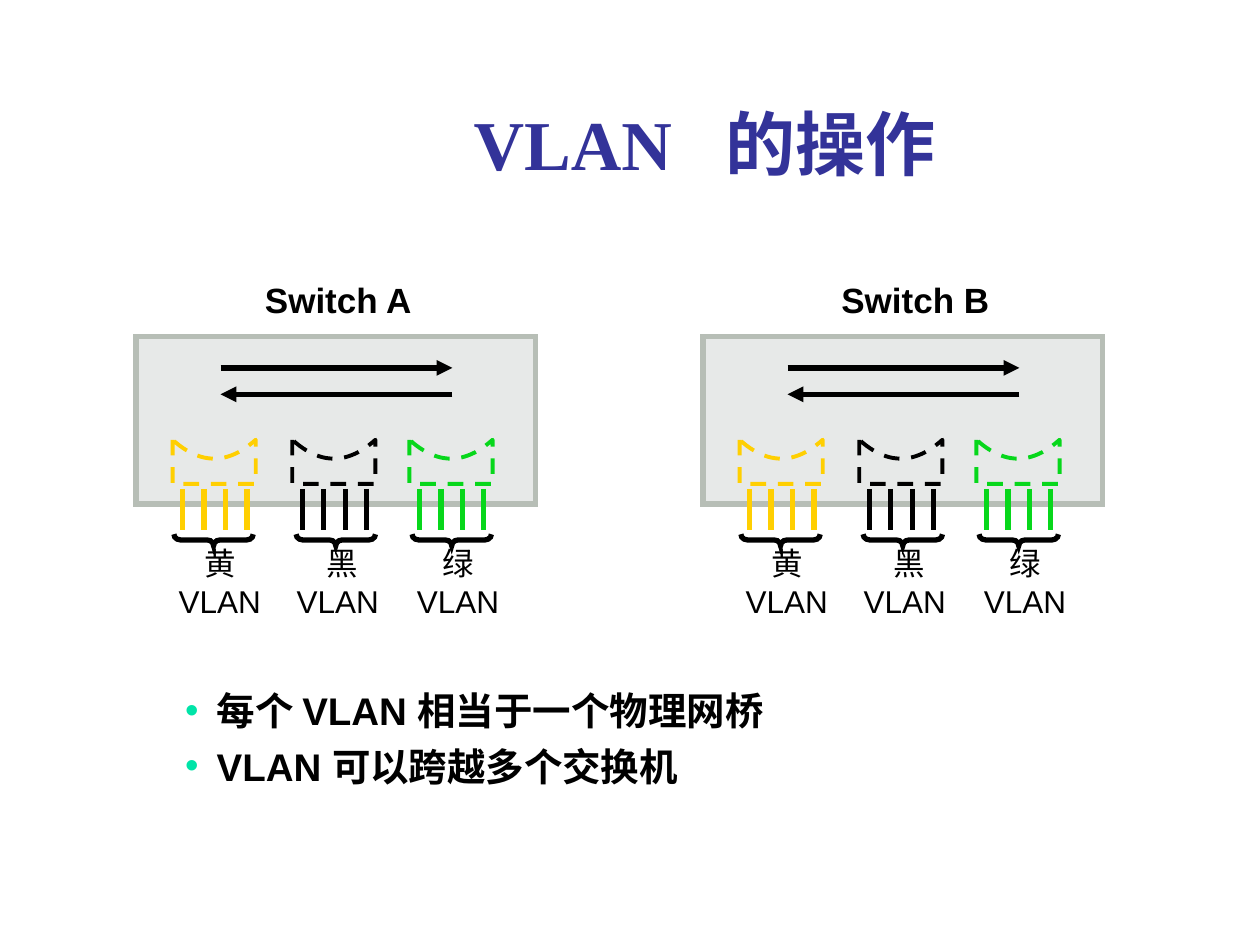
from lxml.etree import SubElement
from pptx import Presentation
from pptx.dml.color import RGBColor
from pptx.enum.dml import MSO_LINE
from pptx.enum.shapes import MSO_CONNECTOR, MSO_SHAPE
from pptx.enum.text import MSO_ANCHOR, MSO_AUTO_SIZE, PP_ALIGN
from pptx.oxml.ns import qn
from pptx.util import Inches, Pt

BLACK = RGBColor(0x00, 0x00, 0x00)
YELLOW = RGBColor(0xFF, 0xCF, 0x01)
GREEN = RGBColor(0x07, 0xD7, 0x1B)
NAVY = RGBColor(0x33, 0x33, 0x99)
PANEL = RGBColor(0xE7, 0xE9, 0xE8)
PANEL_EDGE = RGBColor(0xB7, 0xBE, 0xB6)
BULLET = RGBColor(0x00, 0xE4, 0xA8)

TITLE = "VLAN\t的操作"
BULLETS = ["每个 VLAN 相当于一个物理网桥", "VLAN 可以跨越多个交换机"]
SWITCHES = [
    {"name": "Switch A", "left": 1.08, "label": 2.0},
    {"name": "Switch B", "left": 5.58, "label": 6.58},
]
VLANS = [
    {"lines": ["黄", "VLAN"], "color": YELLOW, "bridge": 0.29, "brace": 0.3, "label": 0.24},
    {"lines": ["黑", "VLAN "], "color": BLACK, "bridge": 1.24, "brace": 1.27, "label": 1.21},
    {"lines": ["绿", "VLAN"], "color": GREEN, "bridge": 2.17, "brace": 2.19, "label": 2.13},
]
PORT_COUNT, PORT_GAP = 4, 0.17
BRIDGE_TOP, BRIDGE_WIDTH, BRIDGE_HEIGHT, BRIDGE_DIP = 3.49, 0.66, 0.35, 0.15
CURVE_STEPS = 24
BRACE_TOP, BRACE_WIDTH, BRACE_DEPTH = 4.24, 0.63, 0.09


def write(frame, lines, size, color=BLACK, bold=False, font="Arial",
          align=PP_ALIGN.LEFT, anchor=MSO_ANCHOR.MIDDLE, wrap=False):
    frame.auto_size = MSO_AUTO_SIZE.NONE
    frame.word_wrap = wrap
    frame.vertical_anchor = anchor
    frame.text = "\n".join(lines)
    for para in frame.paragraphs:
        para.alignment = align
        para.space_before = Pt(0)
        para.font.size = Pt(size)
        para.font.name = font
        para.font.bold = bold
        para.font.color.rgb = color


def place(shape, left, top, width, height):
    shape.left, shape.top = Inches(left), Inches(top)
    shape.width, shape.height = Inches(width), Inches(height)


def add_label(page, lines, left, top, width, height, size, bold=False):
    box = page.shapes.add_textbox(*map(Inches, (left, top, width, height)))
    write(box.text_frame, lines, size, bold=bold, align=PP_ALIGN.CENTER)


def outline(shape, color, width=3.0):
    shape.line.color.rgb = color
    shape.line.width = Pt(width)


def miter(shape):
    SubElement(shape._element.spPr.find(qn("a:ln")), qn("a:miter"), lim="800000")


def add_line(page, start, end, color, arrow=False):
    line = page.shapes.add_connector(
        MSO_CONNECTOR.STRAIGHT, *map(Inches, (*start, *end)))
    outline(line, color)
    properties = line._element.spPr
    if arrow:
        SubElement(properties.find(qn("a:ln")), qn("a:tailEnd"), type="triangle")
    SubElement(properties, qn("a:effectLst"))


def add_bridge(page, left, color):
    right, bottom = left + BRIDGE_WIDTH, BRIDGE_TOP + BRIDGE_HEIGHT
    points = [(left, bottom), (right, bottom)]
    for step in range(CURVE_STEPS + 1):
        across = 1 - 2 * step / CURVE_STEPS
        x = left + BRIDGE_WIDTH * (1 + across) / 2
        points.append((x, BRIDGE_TOP + BRIDGE_DIP * (1 - across ** 2)))
    builder = page.shapes.build_freeform(Inches(left), Inches(BRIDGE_TOP))
    builder.add_line_segments([(Inches(x), Inches(y)) for x, y in points])
    bridge = builder.convert_to_shape()
    bridge.shadow.inherit = False
    bridge.fill.background()
    outline(bridge, color, 2.25)
    bridge.line.dash_style = MSO_LINE.DASH


def add_brace(page, left):
    brace = page.shapes.add_shape(MSO_SHAPE.RIGHT_BRACE, 0, 0, 0, 0)
    inset = (BRACE_WIDTH - BRACE_DEPTH) / 2
    place(brace, left + inset, BRACE_TOP - inset, BRACE_DEPTH, BRACE_WIDTH)
    brace.rotation = 90
    brace.adjustments[0] = 0.58
    brace.shadow.inherit = False
    brace.fill.background()
    outline(brace, BLACK)
    miter(brace)


def add_switch(page, name, left, label):
    add_label(page, [name], label, 2.16, 1.37, 0.44, 20, bold=True)
    panel = page.shapes.add_shape(
        MSO_SHAPE.RECTANGLE, *map(Inches, (left, 2.67, 3.17, 1.33)))
    panel.shadow.inherit = False
    panel.fill.solid()
    panel.fill.fore_color.rgb = PANEL
    outline(panel, PANEL_EDGE)
    miter(panel)
    near, far = left + 0.67, left + 2.51
    add_line(page, (near, 2.92), (far, 2.92), BLACK, arrow=True)
    add_line(page, (far, 3.13), (near, 3.13), BLACK, arrow=True)
    for vlan in VLANS:
        bridge_left = left + vlan["bridge"]
        add_bridge(page, bridge_left, vlan["color"])
        for port in range(PORT_COUNT):
            x = bridge_left + 0.08 + port * PORT_GAP
            add_line(page, (x, 3.88), (x, 4.21), vlan["color"])
        add_brace(page, left + vlan["brace"])
        add_label(page, vlan["lines"], left + vlan["label"], 4.27, 0.85, 0.7, 18)


def add_title(page):
    title = page.shapes.title
    place(title, 3.66, 0.75, 4.83, 0.67)
    frame = title.text_frame
    frame.text = TITLE
    properties = frame.paragraphs[0]._p.get_or_add_pPr()
    tabs = SubElement(properties, qn("a:tabLst"))
    SubElement(tabs, qn("a:tab"), pos=str(Inches(2.12)), algn="l")
    write(frame, [TITLE], 40, NAVY, True, "Times New Roman",
          anchor=MSO_ANCHOR.TOP, wrap=True)


def add_bullets(page):
    body = page.placeholders[1]
    place(body, 1.37, 5.33, 5.4, 0.98)
    frame = body.text_frame
    frame.text = "\n".join(BULLETS)
    for para in frame.paragraphs:
        para.line_spacing = 1.2
        properties = para._p.get_or_add_pPr()
        properties.set("marL", str(Inches(0.25)))
        properties.set("indent", str(-Inches(0.25)))
        bullet_color = SubElement(properties, qn("a:buClr"))
        SubElement(bullet_color, qn("a:srgbClr"), val=str(BULLET))
        SubElement(properties, qn("a:buFont"), typeface="Arial")
        SubElement(properties, qn("a:buChar"), char="•")
    style(frame)


def style(frame):
    frame.auto_size = MSO_AUTO_SIZE.NONE
    frame.word_wrap = False
    frame.vertical_anchor = MSO_ANCHOR.MIDDLE
    for para in frame.paragraphs:
        para.space_before = Pt(0)
        para.font.size = Pt(22)
        para.font.name = "Arial"
        para.font.bold = True
        para.font.color.rgb = BLACK


def main():
    deck = Presentation()
    deck.slide_width, deck.slide_height = Inches(10), Inches(7.5)
    page = deck.slides.add_slide(deck.slide_layouts[1])
    add_title(page)
    for switch in SWITCHES:
        add_switch(page, **switch)
    add_bullets(page)
    deck.save("out.pptx")


if __name__ == "__main__":
    main()
